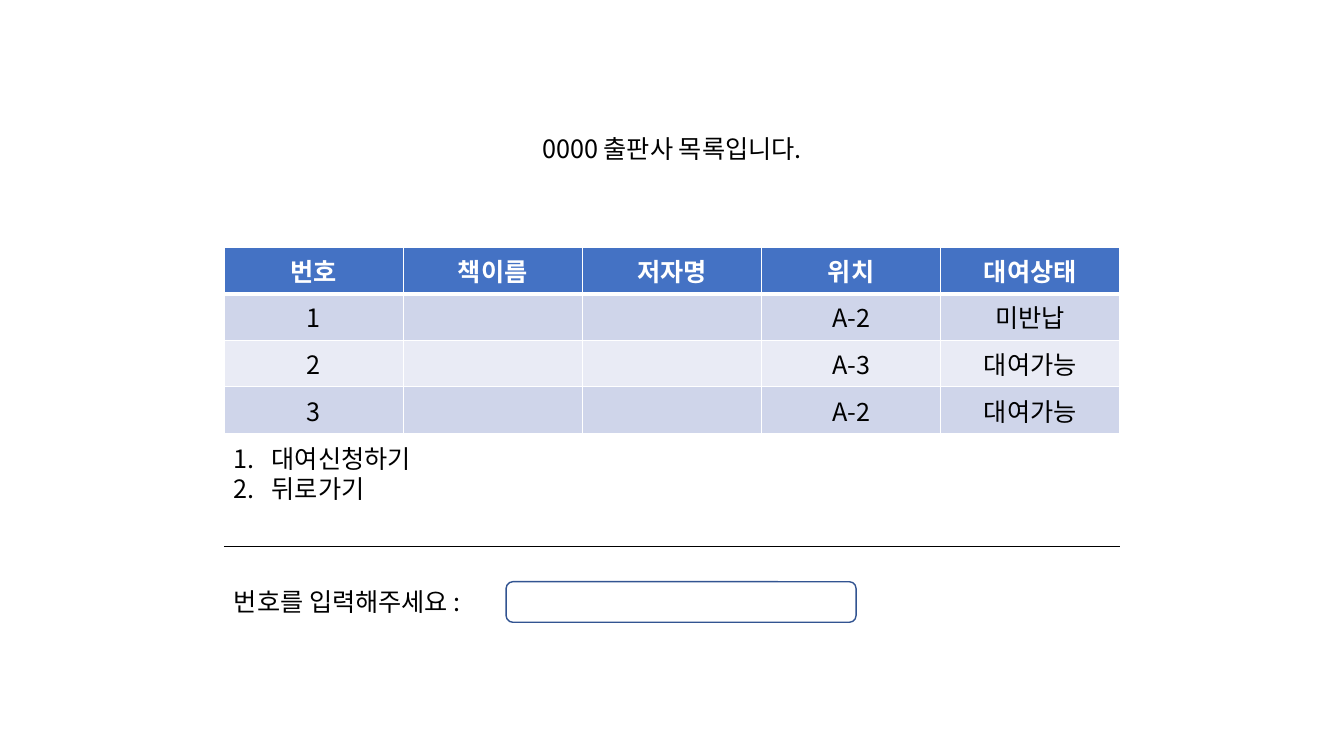
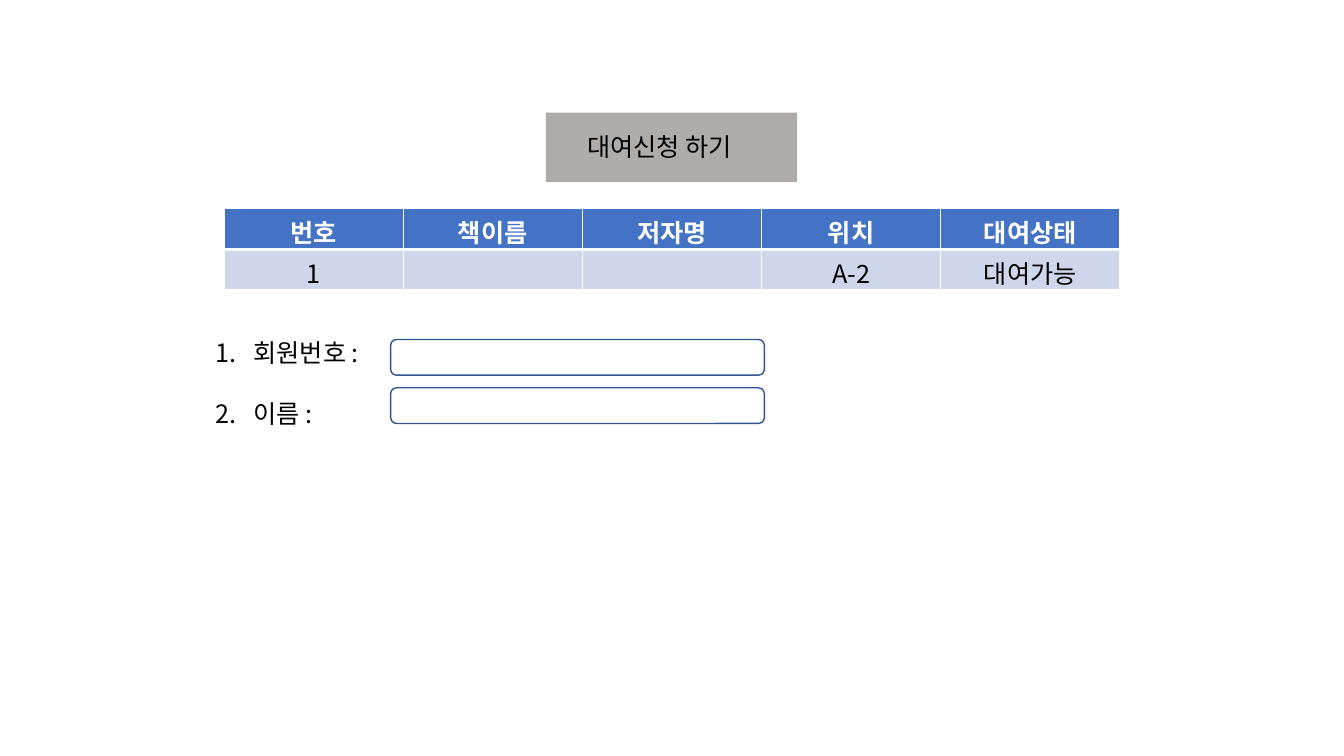
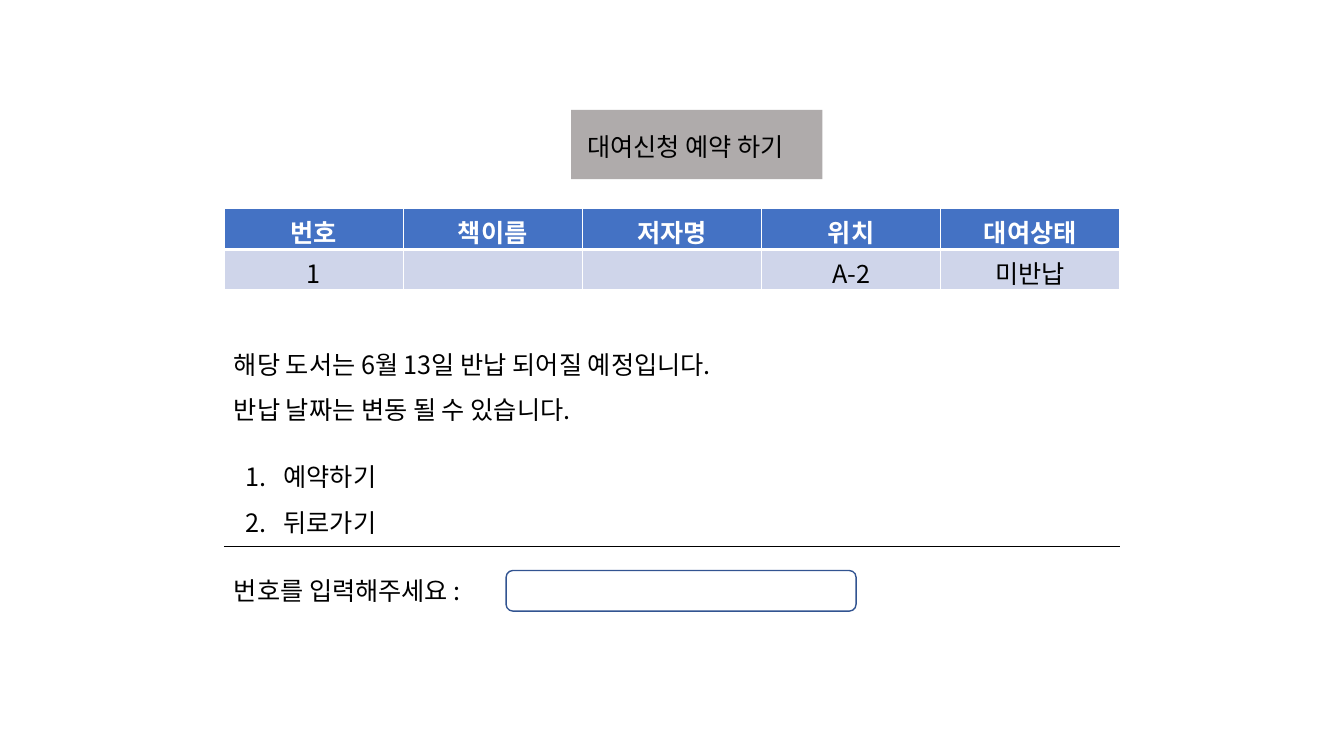
from lxml.etree import SubElement
from pptx import Presentation
from pptx.dml.color import RGBColor
from pptx.enum.shapes import MSO_CONNECTOR, MSO_SHAPE
from pptx.enum.text import PP_ALIGN
from pptx.oxml.ns import qn
from pptx.util import Pt

HEADERS = ["번호", "책이름", "저자명", "위치", "대여상태"]


def colour(value):
    return RGBColor.from_string(value)


class LibraryScreens:
    FONT = "Noto Sans CJK KR"
    SIZE = 18
    BLACK = "000000"
    WHITE = "FFFFFF"
    HEADER = "4472C4"
    BANDS = ("CFD5EA", "E9EBF5")
    BANNER = "AFABAB"
    FIELD_LINE = "325491"
    LEFT = 160
    WIDTH = 640
    INDENT = 27

    def __init__(self):
        self.presentation = Presentation()
        self.presentation.slide_width = Pt(960)
        self.presentation.slide_height = Pt(540)
        self.slide = None

    def new_slide(self):
        self.slide = self.presentation.slides.add_slide(self.presentation.slide_layouts[6])

    def format_paragraph(self, paragraph, text_colour=BLACK, bold=False, align=PP_ALIGN.LEFT):
        paragraph.alignment = align
        for run in paragraph.runs:
            run.font.name = self.FONT
            run.font.size = Pt(self.SIZE)
            run.font.bold = bold
            run.font.color.rgb = colour(text_colour)
            SubElement(run._r.get_or_add_rPr(), qn("a:ea")).set("typeface", self.FONT)

    def text(self, left, top, width, height, lines, spacing=1, align=PP_ALIGN.LEFT):
        shape = self.slide.shapes.add_textbox(Pt(left), Pt(top), Pt(width), Pt(height))
        text_frame = shape.text_frame
        text_frame.word_wrap = True
        text_frame.text = "\n".join(lines)
        for paragraph in text_frame.paragraphs:
            paragraph.line_spacing = spacing
            self.format_paragraph(paragraph, align=align)
        return text_frame

    def numbered_list(self, left, top, width, height, lines, spacing=1):
        text_frame = self.text(left, top, width, height, lines, spacing)
        for paragraph in text_frame.paragraphs:
            properties = paragraph._p.get_or_add_pPr()
            properties.set("marL", str(Pt(self.INDENT)))
            properties.set("indent", str(-Pt(self.INDENT)))
            SubElement(properties, qn("a:buFont")).set("typeface", self.FONT)
            SubElement(properties, qn("a:buAutoNum")).set("type", "arabicPeriod")
        return text_frame

    def box(self, kind, left, top, width, height, fill, line=None):
        shape = self.slide.shapes.add_shape(kind, Pt(left), Pt(top), Pt(width), Pt(height))
        shape.shadow.inherit = False
        shape.fill.solid()
        shape.fill.fore_color.rgb = colour(fill)
        if line:
            shape.line.color.rgb = colour(line)
            shape.line.width = Pt(1)
        else:
            shape.line.fill.background()

    def field(self, left, top, width, height):
        self.box(MSO_SHAPE.ROUNDED_RECTANGLE, left, top, width, height, self.WHITE, self.FIELD_LINE)

    def banner(self, left, top, label, label_width):
        self.box(MSO_SHAPE.RECTANGLE, left, top, 179.5, 49.5, self.BANNER)
        self.text(412.5, 90, label_width, 29, [label])

    def divider(self):
        top = Pt(390.5)
        connector = self.slide.shapes.add_connector(
            MSO_CONNECTOR.STRAIGHT, Pt(self.LEFT), top, Pt(self.LEFT + self.WIDTH), top)
        connector.line.color.rgb = colour(self.BLACK)
        connector.line.width = Pt(0.5)
        SubElement(connector._element.spPr, qn("a:effectLst"))

    def prompt(self, top):
        self.divider()
        self.text(self.LEFT, top, 201.5, 29, ["번호를 입력해주세요 :"])
        self.field(361.5, top, 250, 29)

    def borders(self, cell, bottom):
        properties = cell._tc.get_or_add_tcPr()
        for side, width in (("L", 1), ("R", 1), ("T", 1), ("B", bottom)):
            line = SubElement(properties, qn(f"a:ln{side}"), w=str(Pt(width)))
            fill = SubElement(line, qn("a:solidFill"))
            SubElement(fill, qn("a:srgbClr")).set("val", self.WHITE)

    def book_table(self, top, books, row_heights, bottom_margin=3.6):
        rows = [HEADERS] + [[number, "", "", place, state] for number, place, state in books]
        table = self.slide.shapes.add_table(
            len(rows), len(HEADERS), Pt(self.LEFT), Pt(top), Pt(self.WIDTH), Pt(sum(row_heights))).table
        for column in table.columns:
            column.width = Pt(self.WIDTH / len(HEADERS))
        for row_index, values in enumerate(rows):
            table.rows[row_index].height = Pt(row_heights[row_index])
            is_header = row_index == 0
            for column_index, value in enumerate(values):
                cell = table.cell(row_index, column_index)
                cell.margin_bottom = Pt(bottom_margin)
                self.borders(cell, 3 if is_header else 1)
                cell.fill.solid()
                cell.fill.fore_color.rgb = colour(self.HEADER if is_header else self.BANDS[(row_index - 1) % 2])
                cell.text_frame.text = value
                self.format_paragraph(cell.text_frame.paragraphs[0], self.WHITE if is_header else self.BLACK,
                                      is_header, PP_ALIGN.CENTER)

    def single_book(self, state):
        self.book_table(149, [("1", "A-2", state)], [29.2, 28.4], 0)


def publisher_list(screens):
    screens.new_slide()
    books = [("1", "A-2", "미반납"), ("2", "A-3", "대여가능"), ("3", "A-2", "대여가능")]
    screens.book_table(176.5, books, [29.2] * 4)
    screens.text(363.5, 92, 233, 29, ["0000 출판사 목록입니다."], align=PP_ALIGN.CENTER)
    screens.numbered_list(screens.LEFT, 313, 168.5, 51, ["대여신청하기", "뒤로가기"])
    screens.prompt(415.5)


def loan_request(screens):
    screens.new_slide()
    screens.banner(390, 80.5, "대여신청 하기", 134.5)
    screens.single_book("대여가능")
    text_frame = screens.numbered_list(147, 237.5, 765, 65.5, ["회원번호 :", "이름 :"])
    text_frame.paragraphs[1].line_spacing = 2.0
    for index in range(2):
        screens.field(279, 242.5 + 34.5 * index, 267, 25.5)


def loan_reservation(screens):
    screens.new_slide()
    screens.banner(408, 78.5, "대여신청 예약 하기", 174)
    screens.single_book("미반납")
    notice = ["해당 도서는 6월 13일 반납 되어질 예정입니다.", "반납 날짜는 변동 될 수 있습니다."]
    screens.text(screens.LEFT, 235, 396, 68.5, notice, 1.5)
    screens.numbered_list(168.5, 315.5, 114.5, 68.5, ["예약하기", "뒤로가기"], 1.5)
    screens.prompt(407.5)


def main():
    screens = LibraryScreens()
    publisher_list(screens)
    loan_request(screens)
    loan_reservation(screens)
    screens.presentation.save("out.pptx")


if __name__ == "__main__":
    main()
